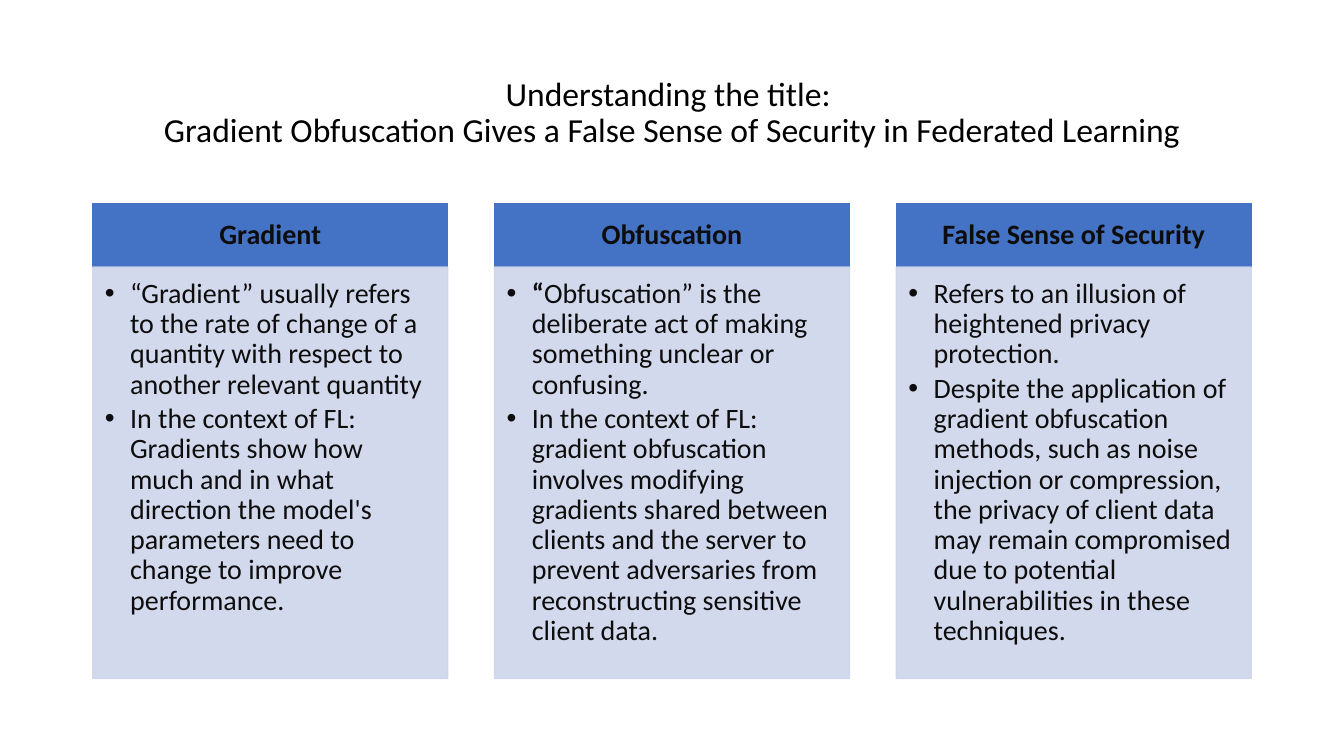
"""Build the slide that explains the paper title term by term."""
import pptx
import pptx.util
import pptx.dml.color
import pptx.enum.shapes
import pptx.enum.text
import pptx.oxml
import pptx.oxml.ns
from lxml import etree

Inches, Pt = pptx.util.Inches, pptx.util.Pt
ALIGN, ANCHOR = pptx.enum.text.PP_ALIGN, pptx.enum.text.MSO_ANCHOR

TITLE = (
    "Understanding the title: \v"
    "Gradient Obfuscation Gives a False Sense of Security in Federated Learning"
)
# Each point is a (bold lead, regular text) pair.
TERMS = [
    ("Gradient", [
        ("", "“Gradient” usually refers to the rate of change of a quantity "
             "with respect to another relevant quantity"),
        ("", "In the context of FL: Gradients show how much and in what direction "
             "the model's parameters need to change to improve performance."),
    ]),
    ("Obfuscation", [
        ("“", "Obfuscation” is the deliberate act of making something unclear "
              "or confusing."),
        ("", "In the context of FL: gradient obfuscation involves modifying gradients "
             "shared between clients and the server to prevent adversaries from "
             "reconstructing sensitive client data."),
    ]),
    ("False Sense of Security", [
        ("", "Refers to an illusion of heightened privacy protection."),
        ("", "Despite the application of gradient obfuscation methods, such as noise "
             "injection or compression, the privacy of client data may remain "
             "compromised due to potential vulnerabilities in these techniques."),
    ]),
]
COLORS = {"title": "000000", "text": "0D0D0D", "header": "4472C4", "body": "CFD5EA"}
FONT = "Calibri"
SLIDE_W, SLIDE_H = 13.33, 7.5
MARGIN = 0.92
CONTENT_W = SLIDE_W - 2 * MARGIN
COLUMN_W = 3.52
COLUMN_STEP = (CONTENT_W - COLUMN_W) / (len(TERMS) - 1)
TITLE_TOP, TITLE_H = 0.4, 1.45
HEADER_TOP, HEADER_H = 2.02, 0.63
BODY_TOP, BODY_H = HEADER_TOP + HEADER_H, 4.08
INDENT = 0.25


def rgb(name):
    return pptx.dml.color.RGBColor.from_string(COLORS[name])


def prepare(frame, insets, anchor):
    frame.word_wrap = True
    frame.vertical_anchor = anchor
    (frame.margin_left, frame.margin_top,
     frame.margin_right, frame.margin_bottom) = map(Inches, insets)


def style(paragraph, size, color, align, after=0):
    paragraph.alignment = align
    paragraph.line_spacing = 0.9
    paragraph.space_before = Pt(0)
    paragraph.space_after = Pt(after)
    paragraph.font.size = Pt(size)
    paragraph.font.name = FONT
    paragraph.font.color.rgb = rgb(color)


def add_panel(slide, left, top, height, color, opacity=100):
    panel = slide.shapes.add_shape(
        pptx.enum.shapes.MSO_SHAPE.RECTANGLE,
        *map(Inches, (left, top, COLUMN_W, height)))
    panel.shadow.inherit = False
    panel.fill.solid()
    panel.fill.fore_color.rgb = rgb(color)
    panel.line.color.rgb = rgb(color)
    panel.line.width = Pt(1)
    if opacity < 100:
        for tint in panel.element.spPr.iter(pptx.oxml.ns.qn("a:srgbClr")):
            etree.SubElement(tint, pptx.oxml.ns.qn("a:alpha"), val=str(opacity * 1000))
    return panel.text_frame


def add_bullet(paragraph):
    properties = paragraph._p.get_or_add_pPr()
    properties.set("marL", str(Inches(INDENT)))
    properties.set("indent", str(Inches(-INDENT)))
    etree.SubElement(properties, pptx.oxml.ns.qn("a:buFont"), typeface="Arial")
    etree.SubElement(properties, pptx.oxml.ns.qn("a:buChar"), char="•")


def add_term(slide, left, term, points):
    header = add_panel(slide, left, HEADER_TOP, HEADER_H, "header")
    prepare(header, (0.16, 0.09, 0.16, 0.09), ANCHOR.MIDDLE)
    heading = header.paragraphs[0]
    heading.text = term
    style(heading, 20, "text", ALIGN.CENTER)
    heading.font.bold = True

    body = add_panel(slide, left, BODY_TOP, BODY_H, "body", 90)
    prepare(body, (0.12, 0.12, 0.16, 0.17), ANCHOR.TOP)
    for index, (lead, text) in enumerate(points):
        point = body.add_paragraph() if index else body.paragraphs[0]
        add_bullet(point)
        style(point, 20, "text", ALIGN.LEFT, after=3)
        if lead:
            lead_run = point.add_run()
            lead_run.text = lead
            lead_run.font.bold = True
        point.add_run().text = text


def main():
    deck = pptx.Presentation()
    deck.slide_width, deck.slide_height = Inches(SLIDE_W), Inches(SLIDE_H)
    slide = deck.slides.add_slide(deck.slide_layouts[6])

    title = slide.shapes.add_textbox(
        *map(Inches, (MARGIN, TITLE_TOP, CONTENT_W, TITLE_H))).text_frame
    prepare(title, (0.1, 0.05, 0.1, 0.05), ANCHOR.MIDDLE)
    title.paragraphs[0].text = TITLE
    style(title.paragraphs[0], 24, "title", ALIGN.CENTER)

    for column, (term, points) in enumerate(TERMS):
        add_term(slide, MARGIN + column * COLUMN_STEP, term, points)
    deck.save("out.pptx")


if __name__ == "__main__":
    main()
